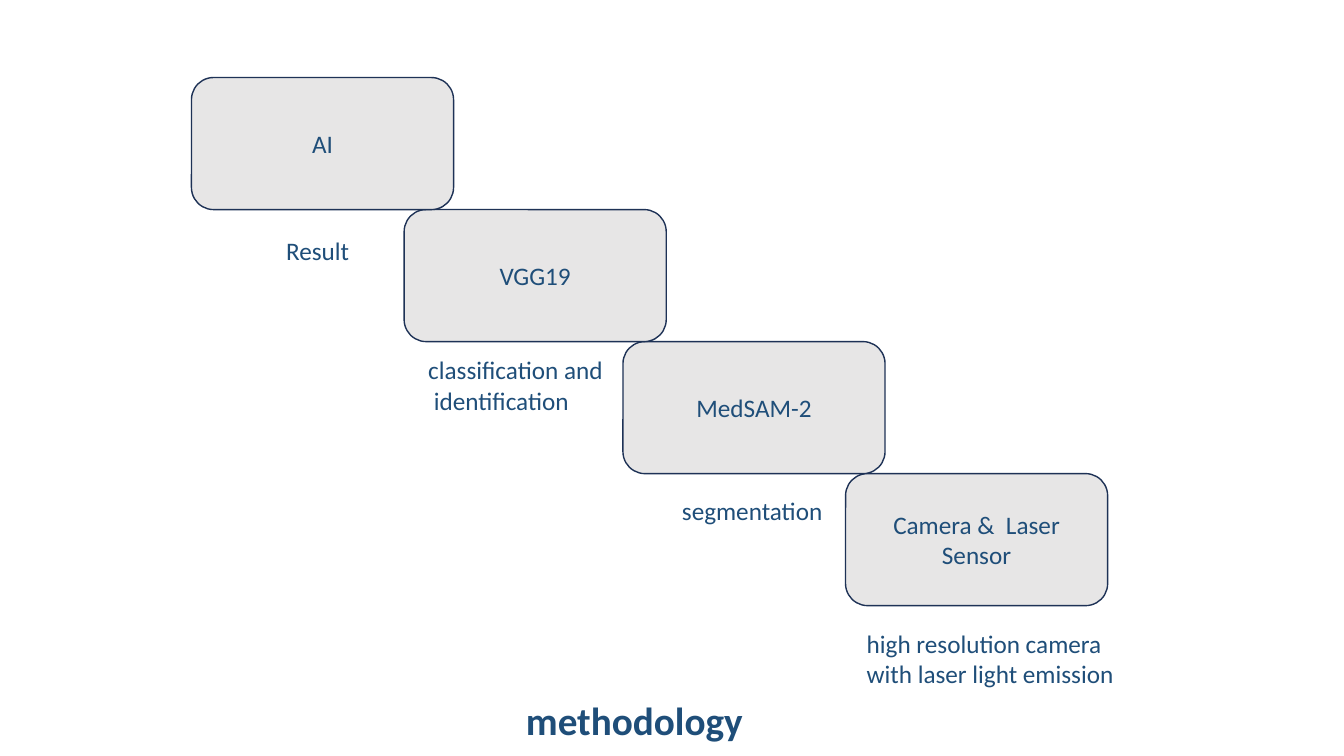
from pptx import Presentation
from pptx.dml.color import RGBColor
from pptx.enum.shapes import MSO_SHAPE as Shape
from pptx.enum.text import MSO_ANCHOR as Anchor, MSO_AUTO_SIZE as Fit, PP_ALIGN as Align
from pptx.util import Pt

NAVY = RGBColor(0x1F, 0x4E, 0x79)
EDGE = RGBColor(0x1E, 0x32, 0x56)
GRAY = RGBColor(0xE7, 0xE6, 0xE6)
WIDE, HIGH = 960, 540
STEP_W, STEP_H, TOP = 187.2, 94.3, 55.4

STEPS = [("AI", 136.8), ("VGG19", 288.7), ("MedSAM-2", 445), ("Camera &  Laser Sensor", 604)]
NOTES = [
    (["segmentation"], 480, 350.6),
    (["classification and", " identification"], 298.8, 249.8),
    (["Result"], 197.3, 164.2),
    (["high resolution camera", "with laser light emission"], 612, 445),
]


def write(frame, lines, size=18, bold=False, align=Align.LEFT, color=NAVY, font="Calibri"):
    for i, line in enumerate(lines):
        para = frame.paragraphs[0] if i == 0 else frame.add_paragraph()
        para.alignment = align
        run = para.add_run()
        run.text = line
        run.font.name = font
        run.font.size = Pt(size)
        run.font.bold = bold
        run.font.color.rgb = color


class Board:
    def __init__(self, slide):
        self.slide = slide
        self.fill = GRAY
        self.edge = EDGE

    def step(self, text, left, top):
        box = self.slide.shapes.add_shape(
            Shape.ROUNDED_RECTANGLE, Pt(left), Pt(top), Pt(STEP_W), Pt(STEP_H))
        box.shadow.inherit = False
        box.fill.solid()
        box.fill.fore_color.rgb = self.fill
        box.line.color.rgb = self.edge
        box.line.width = Pt(1)
        frame = box.text_frame
        frame.word_wrap = True
        frame.vertical_anchor = Anchor.MIDDLE
        write(frame, [text], align=Align.CENTER)

    def note(self, lines, left, top, width, height, **style):
        box = self.slide.shapes.add_textbox(Pt(left), Pt(top), Pt(width), Pt(height))
        frame = box.text_frame
        frame.word_wrap = True
        frame.auto_size = Fit.SHAPE_TO_FIT_TEXT
        write(frame, lines, **style)


def main():
    deck = Presentation()
    deck.slide_width, deck.slide_height = Pt(WIDE), Pt(HIGH)
    board = Board(deck.slides.add_slide(deck.slide_layouts[6]))
    for row, (text, left) in reversed(list(enumerate(STEPS))):
        board.step(text, left, TOP + row * STEP_H)
    for lines, left, top in NOTES:
        board.note(lines, left, top, min(480, WIDE - left), 7.2 + 21.9 * len(lines))
    board.note(["methodology"], 368.6, 493.9, 545.8, 41, size=28, bold=True)
    deck.save("out.pptx")


if __name__ == "__main__":
    main()
